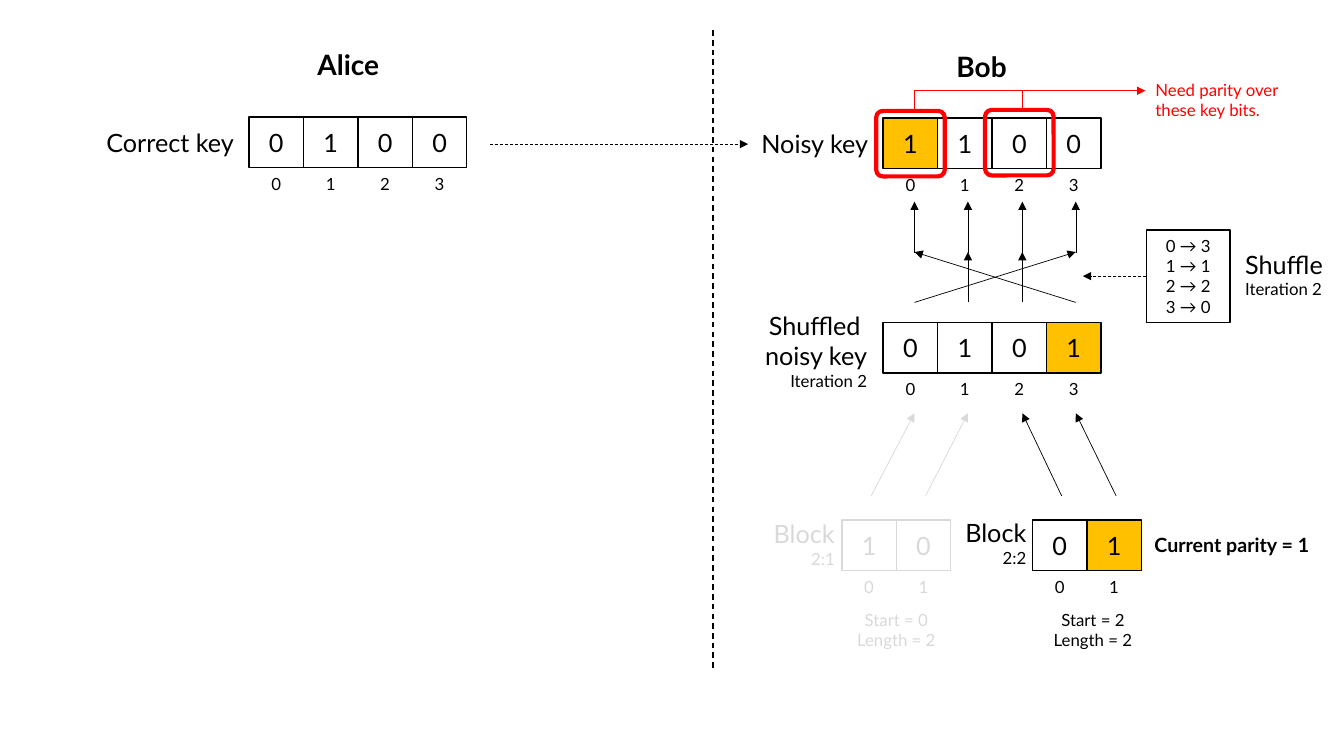
from lxml import etree
from pptx import Presentation
from pptx.dml.color import RGBColor
from pptx.enum.dml import MSO_LINE
from pptx.enum.shapes import MSO_CONNECTOR, MSO_SHAPE
from pptx.enum.text import MSO_ANCHOR, PP_ALIGN
from pptx.oxml.ns import qn
from pptx.util import Inches, Pt

BLACK = RGBColor(0x00, 0x00, 0x00)
GREY = RGBColor(0xD9, 0xD9, 0xD9)
AMBER = RGBColor(0xFF, 0xC0, 0x00)
RED = RGBColor(0xFF, 0x00, 0x00)

FONT = "Lato"
BIT_WIDTH, BIT_HEIGHT, INDEX_HEIGHT = 0.54, 0.5, 0.26
KEY_LEFT = 8.76
ARROW_COLUMNS = (9.07, 9.6, 10.14, 10.67)
SHUFFLE = (3, 1, 2, 0)


def write_text(shape, text, *, size=18, last_size=None, color=BLACK, bold=False,
               align=PP_ALIGN.CENTER, anchor=MSO_ANCHOR.MIDDLE):
    """Fill a shape with one paragraph per line; last_size restyles the last line."""
    frame = shape.text_frame
    frame.word_wrap = True
    frame.vertical_anchor = anchor
    frame.margin_left = frame.margin_right = frame.margin_top = frame.margin_bottom = 0
    frame.text = text
    for paragraph in frame.paragraphs:
        paragraph.alignment = align
        font = paragraph.font
        font.name, font.size, font.bold = FONT, Pt(size), bold
        font.color.rgb = color
    if last_size:
        frame.paragraphs[-1].font.size = Pt(last_size)


def add_label(shapes, text, left, top, width, height, **text_format):
    label = shapes.add_textbox(Inches(left), Inches(top), Inches(width), Inches(height))
    write_text(label, text, **text_format)


def add_box(shapes, left, top, width, height, *, kind=MSO_SHAPE.RECTANGLE,
            fill=None, line=BLACK, weight=1):
    box = shapes.add_shape(kind, Inches(left), Inches(top), Inches(width), Inches(height))
    box.shadow.inherit = False
    if fill is None:
        box.fill.background()
    else:
        box.fill.solid()
        box.fill.fore_color.rgb = fill
    box.line.color.rgb = line
    box.line.width = Pt(weight)
    return box


def add_line(shapes, start, end, *, color=BLACK, weight=0.5, dash=None, arrow=True):
    """Draw a straight line, by default with an arrowhead at its end."""
    connector = shapes.add_connector(
        MSO_CONNECTOR.STRAIGHT, *(Inches(value) for value in (*start, *end)))
    connector.line.color.rgb = color
    connector.line.width = Pt(weight)
    if dash:
        connector.line.dash_style = dash
    properties = connector.element.spPr
    if arrow:
        etree.SubElement(properties.find(qn("a:ln")), qn("a:tailEnd"), type="triangle")
    etree.SubElement(properties, qn("a:effectLst"))
    return connector


def add_key(shapes, bits, left, top, *, error_at=None, color=BLACK):
    """Draw a row of bits with their indexes below, marking the wrong bit."""
    key = shapes.add_group_shape().shapes
    for index, bit in enumerate(bits):
        bit_left = left + index * BIT_WIDTH
        cell = add_box(key, bit_left, top, BIT_WIDTH, BIT_HEIGHT, line=color,
                       fill=AMBER if index == error_at else None)
        write_text(cell, bit, color=color)
        add_label(key, str(index), bit_left, top + BIT_HEIGHT, BIT_WIDTH, INDEX_HEIGHT,
                  size=12, color=color, anchor=MSO_ANCHOR.BOTTOM)


def add_block(shapes, number, bits, left, start, *, label_at, note_left, arrow_tips,
              error_at=None, color=BLACK):
    add_key(shapes, bits, left, 5.16, error_at=error_at, color=color)
    add_label(shapes, f"Block\n2:{number}", *label_at, 0.77, 0.5, last_size=12,
              color=color, align=PP_ALIGN.RIGHT)
    add_label(shapes, f"Start = {start}\nLength = {len(bits)}", note_left, 5.99, 1.08, 0.52,
              size=12, color=color)
    for index, tip in enumerate(arrow_tips):
        add_line(shapes, (left + 0.29 + index * BIT_WIDTH, 4.92), (tip, 4.1), color=color)


def add_alice(shapes):
    add_label(shapes, "Alice", 2.81, 0.39, 1.29, 0.5, size=20, bold=True)
    add_label(shapes, "Correct key", 1.03, 1.16, 1.29, 0.5, align=PP_ALIGN.RIGHT)
    add_key(shapes, "0100", 2.47, 1.16)


def add_bob_keys(shapes):
    add_label(shapes, "Bob", 9.09, 0.41, 1.29, 0.5, size=20, bold=True)
    add_label(shapes, "Noisy key", 7.32, 1.17, 1.29, 0.5, align=PP_ALIGN.RIGHT)
    add_key(shapes, "1100", KEY_LEFT, 1.17, error_at=0)
    add_label(shapes, "Shuffled \nnoisy key\nIteration 2", 7.16, 3.07, 1.44, 0.81,
              last_size=12, align=PP_ALIGN.RIGHT)
    add_key(shapes, "0101", KEY_LEFT, 3.2, error_at=3)


def add_shuffle(shapes):
    for column, target in zip(ARROW_COLUMNS, SHUFFLE):
        add_line(shapes, (column, 3), (ARROW_COLUMNS[target], 2.5))
        add_line(shapes, (column, 2.5), (column, 2), weight=0.25, dash=MSO_LINE.ROUND_DOT)
    mapping = add_box(shapes, 11.37, 2.28, 0.83, 0.92)
    write_text(mapping, "\n".join(f"{old} → {new}" for old, new in enumerate(SHUFFLE)), size=12)
    mapping_arrow = add_line(shapes, (11.37, 2.74), (10.74, 2.74), dash=MSO_LINE.DASH)
    mapping_arrow.begin_connect(mapping, 1)
    add_label(shapes, "Shuffle\nIteration 2", 12.35, 2.47, 0.92, 0.5, last_size=12,
              align=PP_ALIGN.LEFT)


def add_parity_request(shapes):
    for frame_left, frame_top, column in ((8.69, 1.1, ARROW_COLUMNS[0]),
                                          (9.77, 1.09, ARROW_COLUMNS[2])):
        frame = add_box(shapes, frame_left, frame_top, 0.68, 0.65,
                        kind=MSO_SHAPE.ROUNDED_RECTANGLE, line=RED, weight=3)
        frame.adjustments[0] = 0.1
        add_line(shapes, (column, 0.9), (column, frame_top), color=RED, arrow=False)
    add_line(shapes, (ARROW_COLUMNS[0], 0.9), (11.36, 0.9), color=RED)
    add_label(shapes, "Need parity over these key bits.", 11.46, 0.74, 1.44, 0.5,
              size=12, color=RED, align=PP_ALIGN.LEFT)


def main():
    presentation = Presentation()
    presentation.slide_width, presentation.slide_height = Inches(13.33), Inches(7.5)
    shapes = presentation.slides.add_slide(presentation.slide_layouts[6]).shapes

    add_alice(shapes)
    add_bob_keys(shapes)
    add_shuffle(shapes)
    add_block(shapes, 1, "10", 8.35, 0, label_at=(7.51, 5.14), note_left=8.35,
              arrow_tips=ARROW_COLUMNS[:2], color=GREY)
    add_block(shapes, 2, "01", 10.24, 2, label_at=(9.41, 5.13), note_left=10.3,
              arrow_tips=ARROW_COLUMNS[2:], error_at=1)
    add_label(shapes, "Current parity = 1", 11.45, 5.19, 1.64, 0.43, size=14, bold=True,
              align=PP_ALIGN.LEFT)
    add_line(shapes, (7.07, 0.3), (7.07, 6.65), weight=1, dash=MSO_LINE.DASH, arrow=False)
    add_line(shapes, (4.86, 1.43), (7.42, 1.43), dash=MSO_LINE.DASH)
    add_parity_request(shapes)

    presentation.save("out.pptx")


if __name__ == "__main__":
    main()
